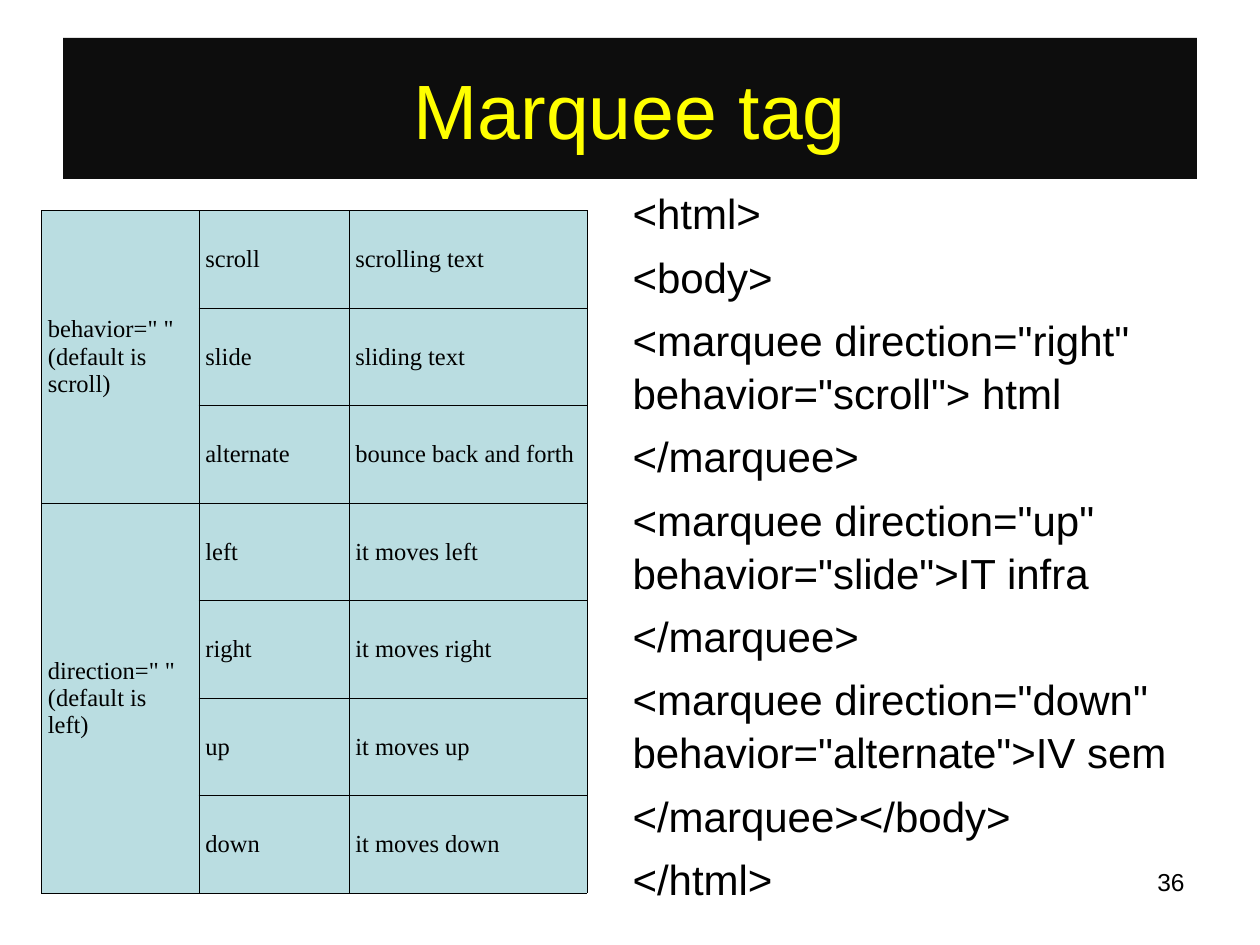
from lxml.etree import SubElement
from pptx import Presentation
from pptx.dml.color import RGBColor
from pptx.enum.text import MSO_ANCHOR as Anchor, MSO_AUTO_SIZE as AutoSize, PP_ALIGN as Align
from pptx.oxml.ns import qn
from pptx.util import Inches, Pt

BLACK = RGBColor(0x00, 0x00, 0x00)
BANNER = RGBColor(0x0D, 0x0D, 0x0D)
YELLOW = RGBColor(0xFF, 0xFF, 0x00)
PALE_TEAL = RGBColor(0xBA, 0xDD, 0xE1)

TITLE_FONT = {"name": "Arial", "size": Pt(44)}
CODE_FONT = {"name": "Arial", "size": Pt(24)}
NUMBER_FONT = {"name": "Arial", "size": Pt(14)}
CELL_FONT = {"name": "Times New Roman", "size": Pt(14)}

COL_WIDTHS = (1.25, 1.19, 1.89)
ROW_HEIGHT = 5.42 / 7
ATTRIBUTES = {
    'behavior=" "\n(default is scroll)': [
        ("scroll", "scrolling text"),
        ("slide", "sliding text"),
        ("alternate", "bounce back and forth"),
    ],
    'direction=" "\n(default is left)': [
        ("left", "it moves left"),
        ("right", "it moves right"),
        ("up", "it moves up"),
        ("down", "it moves down"),
    ],
}
CODE = [
    "<html>",
    "<body>",
    '<marquee direction="right" behavior="scroll"> html',
    "</marquee>",
    '<marquee direction="up" behavior="slide">IT infra',
    "</marquee>",
    '<marquee direction="down" behavior="alternate">IV sem',
    "</marquee></body>",
    "</html>",
]


def place(sp, left, top, width, height):
    """Move and size a shape, in inches."""
    sp.left, sp.top, sp.width, sp.height = map(Inches, (left, top, width, height))


def write(p, text, font, color=BLACK, align=Align.LEFT):
    """Fill a paragraph with text in one format."""
    p.text, p.alignment = text, align
    for r in p.runs:
        r.font.color.rgb = color
        for key, value in font.items():
            setattr(r.font, key, value)


def add_title(s, text):
    """Turn the title placeholder into a dark banner."""
    sp = s.shapes.title
    place(sp, 0.5, 0.3, 9, 1.12)
    sp.fill.solid()
    sp.fill.fore_color.rgb = BANNER
    sp.text_frame.vertical_anchor = Anchor.MIDDLE
    write(sp.text_frame.paragraphs[0], text, TITLE_FONT, YELLOW, Align.CENTER)


def add_code(s, lines):
    """Write the code listing in the body placeholder without bullets."""
    sp = s.placeholders[1]
    place(sp, 4.92, 1.42, 4.83, 5.5)
    tf = sp.text_frame
    tf.auto_size = AutoSize.NONE
    for i, line in enumerate(lines):
        p = tf.add_paragraph() if i else tf.paragraphs[0]
        pPr = p._p.get_or_add_pPr()
        pPr.set("marL", "0")
        pPr.set("indent", "0")
        SubElement(pPr, qn("a:buNone"))
        p.space_before = Pt(6 if i else 0)
        p.line_spacing = 1.05
        write(p, line, CODE_FONT)


def style_cell(cell):
    """Give a cell its fill, margins and thin black borders."""
    tcPr = cell._tc.get_or_add_tcPr()
    for side in ("lnL", "lnR", "lnT", "lnB"):
        ln = SubElement(tcPr, qn(f"a:{side}"), w=str(Pt(0.45)))
        SubElement(SubElement(ln, qn("a:solidFill")), qn("a:srgbClr"), val=str(BLACK))
    cell.fill.solid()
    cell.fill.fore_color.rgb = PALE_TEAL
    cell.vertical_anchor = Anchor.MIDDLE
    for side in ("left", "right", "top", "bottom"):
        setattr(cell, f"margin_{side}", Inches(0.05))


def add_attribute_table(s, groups):
    """Add the table, with one merged first cell for each attribute."""
    count = sum(map(len, groups.values()))
    size = (sum(COL_WIDTHS), ROW_HEIGHT * count)
    table = s.shapes.add_table(count, 3, *map(Inches, (0.33, 1.67, *size))).table
    table.first_row = table.horz_banding = False
    for col, width in zip(table.columns, COL_WIDTHS):
        col.width = Inches(width)
    for cell in table.iter_cells():
        style_cell(cell)
    top = 0
    for name, values in groups.items():
        table.cell(top, 0).merge(table.cell(top + len(values) - 1, 0))
        write(table.cell(top, 0).text_frame.paragraphs[0], name, CELL_FONT)
        for row, texts in enumerate(values, top):
            for col, text in enumerate(texts, 1):
                write(table.cell(row, col).text_frame.paragraphs[0], text, CELL_FONT)
        top += len(values)


def add_number(s, text):
    """Add the slide number at the lower right."""
    tf = s.shapes.add_textbox(*map(Inches, (7.17, 6.83, 2.33, 0.52))).text_frame
    tf.word_wrap = True
    write(tf.paragraphs[0], text, NUMBER_FONT, align=Align.RIGHT)


def main():
    """Build and save the slide."""
    prs = Presentation()
    prs.slide_width, prs.slide_height = Inches(10), Inches(7.5)
    s = prs.slides.add_slide(prs.slide_layouts[1])
    add_title(s, "Marquee tag")
    add_attribute_table(s, ATTRIBUTES)
    add_number(s, "36")
    add_code(s, CODE)
    prs.save("out.pptx")


if __name__ == "__main__":
    main()
